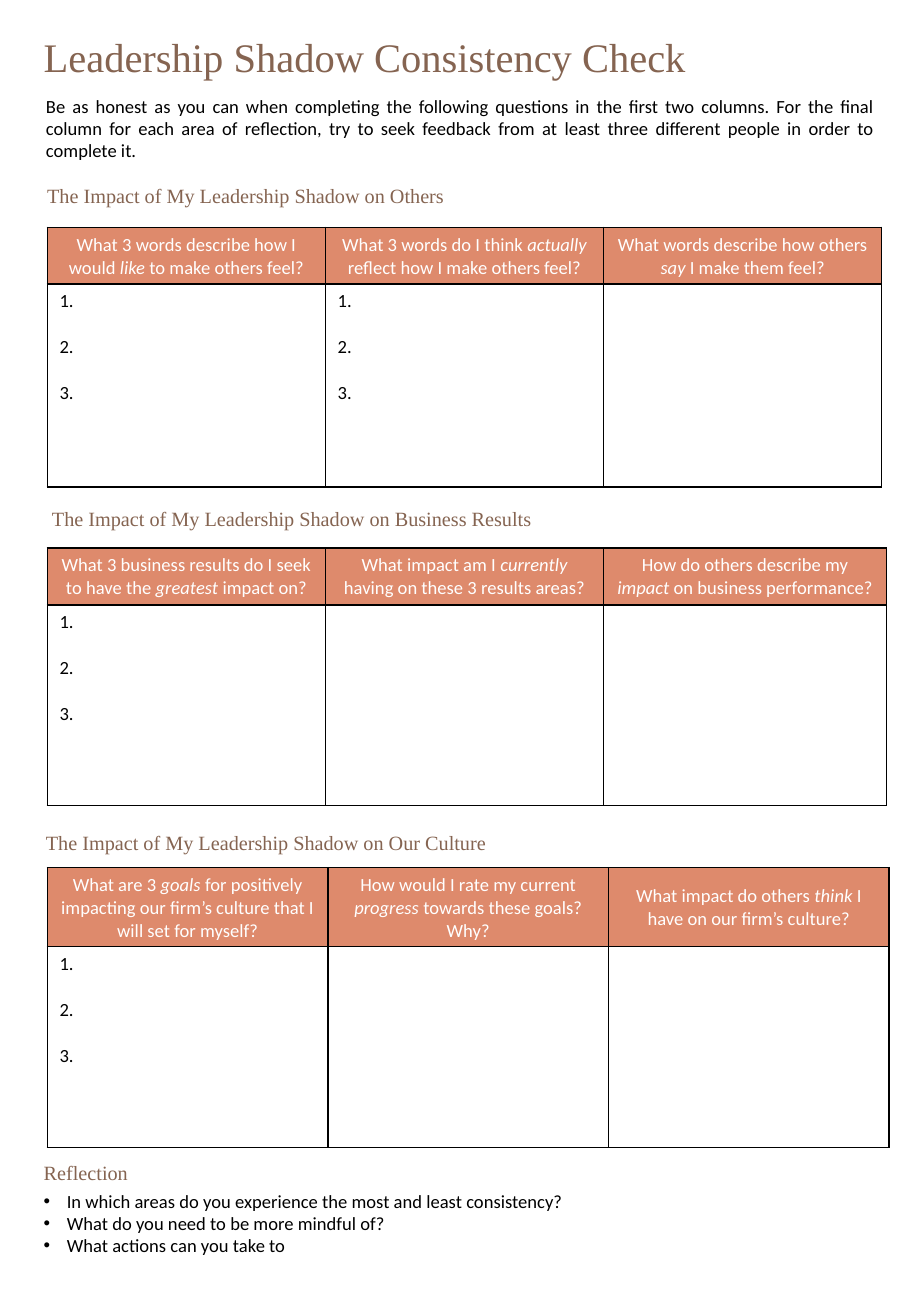
import pptx
import pptx.util
import pptx.dml.color
import pptx.enum.text
import pptx.oxml
import pptx.oxml.ns
from pptx.util import Inches, Pt

RGBColor = pptx.dml.color.RGBColor
Align = pptx.enum.text.PP_ALIGN
Anchor = pptx.enum.text.MSO_ANCHOR
BROWN = RGBColor(0x85, 0x64, 0x51)
CORAL = RGBColor(0xDE, 0x8A, 0x6C)
BLACK = RGBColor(0, 0, 0)
WHITE = RGBColor(255, 255, 255)
SERIF, SANS = "Times New Roman", "Calibri"
NUMS = ["1.", "2.", "3."]


def xml(tag, attrs="", inner=""):
    space = pptx.oxml.ns.nsdecls("a")
    return pptx.oxml.parse_xml(f"<a:{tag} {space} {attrs}>{inner}</a:{tag}>")


class Sheet:
    def __init__(self, deck):
        self.slide = deck.slides.add_slide(deck.slide_layouts[1])

    def style(self, para, text, size=11, font=SANS, color=BLACK,
              align=Align.LEFT, before=0, after=0):
        """Fill a paragraph; words between asterisks are italic."""
        for i, part in enumerate(text.split("*")):
            if part:
                run = para.add_run()
                run.text = part
                if i % 2:
                    run.font.italic = True
        para.font.size, para.font.name = Pt(size), font
        para.font.color.rgb = color
        para.alignment = align
        para.space_before, para.space_after = Pt(before), Pt(after)

    def place(self, shape, left, top, width, height):
        shape.left, shape.top = Inches(left), Inches(top)
        shape.width, shape.height = Inches(width), Inches(height)

    def title(self, text, box):
        shape = self.slide.shapes.title
        self.place(shape, *box)
        frame = shape.text_frame
        frame.auto_size = pptx.enum.text.MSO_AUTO_SIZE.NONE
        frame.vertical_anchor = Anchor.MIDDLE
        self.style(frame.paragraphs[0], text, 24, SERIF, BROWN)
        frame.paragraphs[0].line_spacing = 0.9

    def text(self, text, box, **look):
        shape = self.slide.shapes.add_textbox(*map(Inches, box))
        shape.text_frame.word_wrap = True
        self.style(shape.text_frame.paragraphs[0], text, **look)

    def head(self, text, left, top):
        self.text(text, (left, top, 4.93, 0.3), size=12, font=SERIF, color=BROWN)

    def body(self, head, items, box):
        shape = self.slide.placeholders[1]
        self.place(shape, *box)
        frame = shape.text_frame
        frame.auto_size = pptx.enum.text.MSO_AUTO_SIZE.NONE
        first = frame.paragraphs[0]
        self.style(first, head, 12, SERIF, BROWN, after=3)
        self.bullet(first, None)
        for item in items:
            para = frame.add_paragraph()
            self.style(para, item)
            self.bullet(para, "•")

    def bullet(self, para, mark):
        props = para._p.get_or_add_pPr()
        indent = Inches(0.19) if mark else 0
        props.set("marL", str(indent))
        props.set("indent", str(-indent))
        if mark:
            marks = [xml("buFont", 'typeface="Arial"'), xml("buChar", f'char="{mark}"')]
        else:
            marks = [xml("buNone")]
        default = props.find(pptx.oxml.ns.qn("a:defRPr"))
        for node in marks:
            default.addprevious(node)

    def border(self, cell):
        props = cell._tc.get_or_add_tcPr()
        line = '<a:solidFill><a:srgbClr val="000000"/></a:solidFill>'
        for i, side in enumerate(("lnL", "lnR", "lnT", "lnB")):
            props.insert(i, xml(side, f'w="{Pt(1)}"', line))

    def table(self, top, widths, heights, heads, lists):
        """Draw a header row over answer cells; the first ones are numbered."""
        grid = self.slide.shapes.add_table(
            2, 3, Inches(0.39), Inches(top),
            Inches(sum(widths)), Inches(sum(heights))).table
        grid.first_row = grid.horz_banding = False
        for row, height in zip(grid.rows, heights):
            row.height = Inches(height)
        for i, (width, head) in enumerate(zip(widths, heads)):
            grid.columns[i].width = Inches(width)
            top_cell, low_cell = grid.cell(0, i), grid.cell(1, i)
            top_cell.fill.solid()
            top_cell.fill.fore_color.rgb = CORAL
            top_cell.vertical_anchor = Anchor.MIDDLE
            self.style(top_cell.text_frame.paragraphs[0], head,
                       color=WHITE, align=Align.CENTER)
            low_cell.fill.background()
            if i < lists:
                frame = low_cell.text_frame
                for n, num in enumerate(NUMS):
                    para = frame.add_paragraph() if n else frame.paragraphs[0]
                    self.style(para, num, before=13.5 if n else 0)
            self.border(top_cell)
            self.border(low_cell)


def main():
    deck = pptx.Presentation()
    deck.slide_width, deck.slide_height = Inches(7.5), Inches(10.83)
    sheet = Sheet(deck)

    # Title and introduction
    sheet.title("Leadership Shadow Consistency Check", (0.26, 0.15, 6.9, 0.68))
    sheet.text("Be as honest as you can when completing the following questions "
               "in the first two columns. For the final column for each area of "
               "reflection, try to seek feedback from at least three different "
               "people in order to complete it.",
               (0.28, 0.73, 7.02, 0.66), align=Align.JUSTIFY, after=6)

    # Impact on others
    sheet.head("The Impact of My Leadership Shadow on Others", 0.29, 1.46)
    sheet.table(1.87, [2.29] * 3, [0.46, 1.67], [
        "What 3 words describe how I would *like* to make others feel?",
        "What 3 words do I think *actually* reflect how I make others feel?",
        "What words describe how others *say* I make them feel?"], 2)

    # Impact on business results
    sheet.head("The Impact of My Leadership Shadow on Business Results", 0.33, 4.12)
    sheet.table(4.51, [2.29, 2.29, 2.33], [0.46, 1.65], [
        "What 3 business results do I seek to have the *greatest* impact on?",
        "What impact am I *currently* having on these 3 results areas?",
        "How do others describe my *impact* on business performance?"], 1)

    # Impact on culture
    sheet.head("The Impact of My Leadership Shadow on Our Culture", 0.28, 6.78)
    sheet.table(7.14, [2.31] * 3, [0.65, 1.65], [
        "What are 3 *goals* for positively impacting our firm’s culture that I "
        "will set for myself?",
        "How would I rate my current *progress* towards these goals? Why?",
        "What impact do others *think* I have on our firm’s culture?"], 1)

    # Reflection
    sheet.body("Reflection", [
        "In which areas do you experience the most and least consistency?",
        "What do you need to be more mindful of?",
        "What actions can you take to"], (0.26, 9.5, 7.06, 0.9))

    deck.save("out.pptx")


if __name__ == "__main__":
    main()
